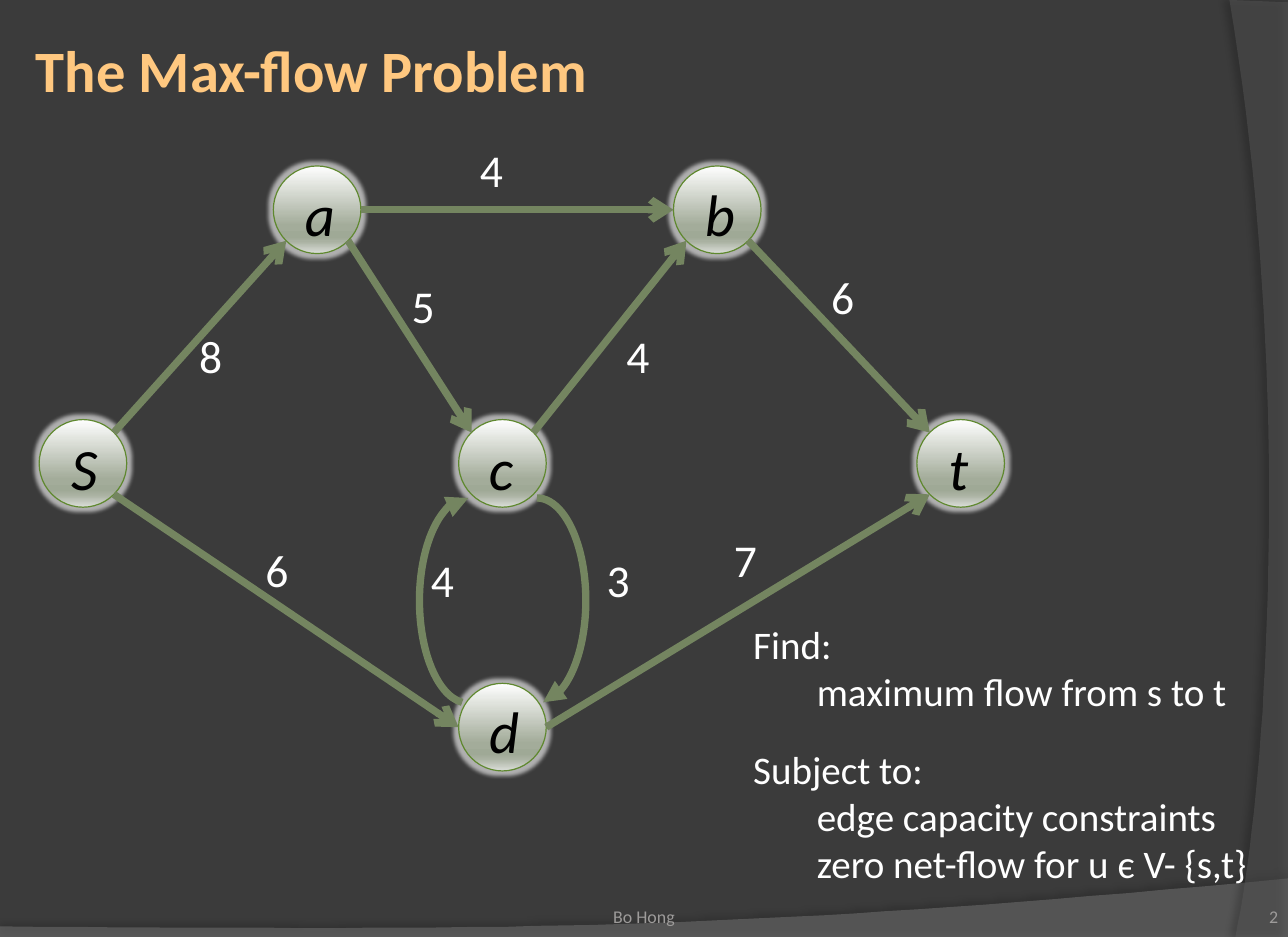
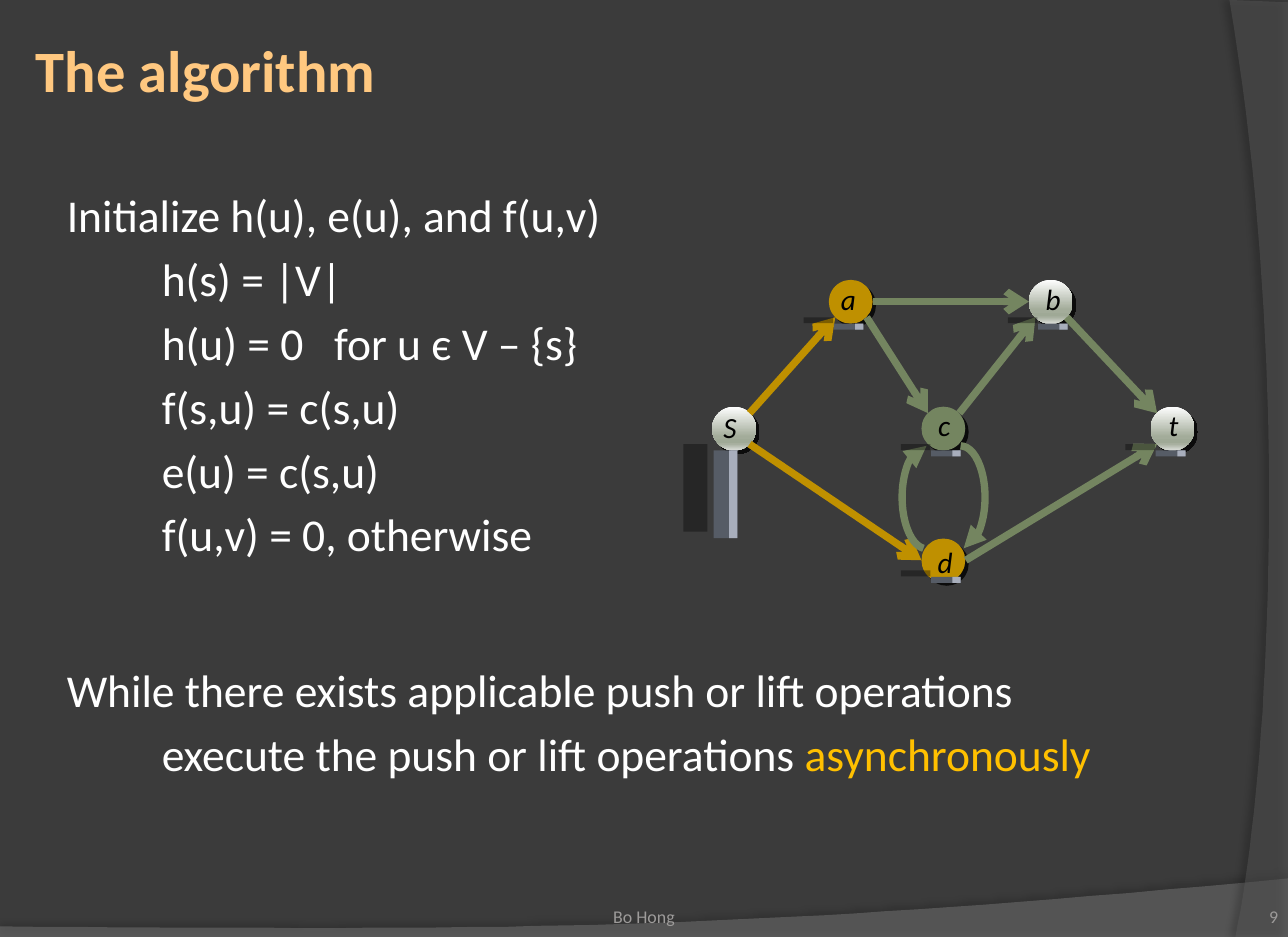
from math import sqrt
from pptx import Presentation
from pptx.dml.color import RGBColor
from pptx.enum.shapes import MSO_CONNECTOR, MSO_SHAPE
from pptx.enum.text import MSO_ANCHOR, PP_ALIGN
from pptx.oxml import parse_xml
from pptx.oxml.ns import nsdecls
from pptx.util import Cm, Pt

# Shared look
FONT = "Calibri"
WIDTH, HEIGHT = 27.94, 20.32
BACKGROUND = RGBColor(0x3B, 0x3B, 0x3B)
TITLE = RGBColor(0xFF, 0xC8, 0x80)
FOOTER = RGBColor(0x9D, 0x9B, 0x9A)
WHITE = RGBColor(0xFF, 0xFF, 0xFF)
BLACK = RGBColor(0x00, 0x00, 0x00)
GREEN = RGBColor(0x74, 0x85, 0x60)
NODE_EDGE = RGBColor(0x5F, 0x88, 0x2F)
GOLD = RGBColor(0xBF, 0x90, 0x00)
YELLOW = RGBColor(0xFF, 0xC0, 0x00)
BAR = RGBColor(0x56, 0x5C, 0x66)
BAR_SIDE = RGBColor(0xA8, 0xAE, 0xBC)
BAND_BOTTOM = RGBColor(0x7F, 0x7F, 0x7F)
BAND_SIDE = RGBColor(0x5E, 0x5E, 0x5E)
SILVER = [(0, "FEFEFE"), (68, "A3AC9A"), (81, "9FA996"), (86, "A9B1A1"), (100, "DBDED9")]
AUTHOR = "Bo Hong"

# Bands: curve (start, two controls, end), closing corners, colour, opacity, shadow
BANDS = [
    ([(27.94, 19.05), (15.62, 20.22), (10.92, 20.17), (0, 20.09)],
     [(0, HEIGHT), (WIDTH, HEIGHT)], BAND_BOTTOM, 45, (35, 4, 3.5, 270)),
    ([(26.8, 20.32), (27.53, 16.76), (28.04, 8.13), (26.67, 0)],
     [(WIDTH, 0.05), (WIDTH, HEIGHT)], BAND_SIDE, 40, (45, 4, 4, 180)),
]

# Flow network: node centres, edges with their ports, arcs (left, flipped, arrow end)
RADIUS = 0.95
LABEL_WIDTH, LABEL_HEIGHT = 1.1, 1.55
NODES = {"S": (1.8, 10.05), "t": (20.84, 10.05), "a": (6.88, 4.55),
         "d": (10.9, 15.77), "b": (15.56, 4.55), "c": (10.9, 10.05)}
EDGES = [("S", "ne", "a", "sw"), ("a", "se", "c", "nw"), ("S", "se", "d", "w"),
         ("b", "se", "t", "nw"), ("c", "ne", "b", "sw"), ("d", "e", "t", "sw"),
         ("a", "e", "b", "w")]
ARCS = [(10.59, False, "tailEnd"), (9.1, True, "headEnd")]
ARC_TOP, ARC_WIDTH, ARC_HEIGHT = 10.8, 2.12, 4.45
DIAGONAL = 1 / sqrt(2)
PORTS = {"e": (1, 0), "w": (-1, 0), "ne": (DIAGONAL, -DIAGONAL), "se": (DIAGONAL, DIAGONAL),
         "nw": (-DIAGONAL, -DIAGONAL), "sw": (-DIAGONAL, DIAGONAL)}

# Shift of each node's letter from the node centre, on the large and the small network
LARGE_SHIFTS = {"S": (0.03, 0.07), "t": (-0.05, 0.07), "a": (0.06, 0.07),
                "d": (0.04, 0.07), "b": (0.06, 0.07), "c": (-0.03, 0.07)}
SMALL_SHIFTS = {"S": (-0.08, -0.05), "t": (0.01, -0.08), "a": (-0.06, -0.08),
                "d": (0.04, 0.03), "b": (0.04, -0.08), "c": (0.01, -0.08)}

# Slide contents; a paragraph is (indent, space before, runs)
CAPACITIES = [("8", 4.57, 7.7), ("6", 6.01, 12.35), ("4", 10.66, 3.68),
              ("5", 9.18, 6.63), ("4", 13.84, 7.7), ("6", 18.28, 6.42),
              ("3", 13.41, 12.57), ("7", 16.17, 12.14), ("4", 9.6, 12.57)]
PROBLEM = [
    (0, 0, ["Find:"]),
    (1.38, 0, ["maximum flow from s to t"]),
    (0, 19.2, ["Subject to:"]),
    (1.38, 0, ["edge capacity constraints"]),
    (1.38, 0, ["zero net-flow for u є V- {s,t}"]),
]
INITIALIZE = [
    (0, 0, ["Initialize h(u), e(u), and f(u,v)"]),
    (2.06, 5.6, ["h(s) = |V|"]),
    (2.06, 5.6, ["h(u) = 0", (" ", {"spacing": 12.6}), "for u є V – {s}"]),
    (2.06, 5.6, ["f(s,u) = c(s,u)"]),
    (2.06, 5.6, ["e(u) = c(s,u)"]),
    (2.06, 5.6, ["f(u,v) = 0, otherwise"]),
]
LOOP = [
    (0, 0, ["While there exists applicable push or lift operations"]),
    (2.06, 5.6, ["execute the push or lift operations ",
                 ("asynchronously", {"color": YELLOW})]),
]
# Height bars under the nodes: shift from the node's left, from its bottom, width, height
HEIGHT_BARS = {"S": (0.04, 0, 0.52, 1.9), "d": (0.2, -0.12, 0.64, 0.13),
               "c": (0.2, 0, 0.64, 0.13), "t": (0.11, 0, 0.64, 0.13),
               "b": (0.2, 0, 0.64, 0.13), "a": (0.11, 0, 0.64, 0.13)}
SIDE_WIDTH = 0.18
BAR_SHADOW = (35, 0, 19, 192)
NODE_SHADOW = (80, 0, 3, 45)


def box_cm(*box):
    return [Cm(round(v, 2)) for v in box]


def xml(tag, attributes, inner=""):
    return parse_xml(f"<a:{tag} {nsdecls('a')} {attributes}>{inner}</a:{tag}>")


def add_text(s, text, *box, size=18, color=WHITE, bold=False, italic=False,
             align=PP_ALIGN.LEFT, anchor=MSO_ANCHOR.TOP, wrap=True):
    """Add a text box with one string or a list of paragraphs."""
    tf = s.shapes.add_textbox(*box_cm(*box)).text_frame
    tf.word_wrap, tf.vertical_anchor = wrap, anchor
    tf.margin_left = tf.margin_right = tf.margin_top = tf.margin_bottom = 0
    paragraphs = [(0, 0, [text])] if isinstance(text, str) else text
    for i, (indent, before, runs) in enumerate(paragraphs):
        p = tf.add_paragraph() if i else tf.paragraphs[0]
        p.alignment, p.space_before = align, Pt(before)
        if indent:
            p._p.get_or_add_pPr().set("marL", str(Cm(indent)))
        for run in runs:
            words, extra = (run, {}) if isinstance(run, str) else run
            r = p.add_run()
            r.text = words
            r.font.name, r.font.size = FONT, Pt(size)
            r.font.bold, r.font.italic = bold, italic
            r.font.color.rgb = extra.get("color", color)
            if "spacing" in extra:
                r._r.get_or_add_rPr().set("spc", str(round(extra["spacing"] * 100)))


def set_effect(sp, shadow=None, glow=None):
    """Shadow is (opacity, blur, distance, angle), glow is (opacity, radius)."""
    effects = sp._element.spPr.get_or_add_effectLst()
    if glow:
        opacity, radius = glow
        effects.append(xml("glow", f'rad="{Pt(radius)}"',
                           f'<a:srgbClr val="{WHITE}"><a:alpha val="{opacity * 1000}"/></a:srgbClr>'))
    if shadow:
        opacity, blur, distance, angle = shadow
        effects.append(xml(
            "outerShdw",
            f'blurRad="{Pt(blur)}" dist="{Pt(distance)}" dir="{angle * 60000}" rotWithShape="0"',
            f'<a:srgbClr val="{BLACK}"><a:alpha val="{opacity * 1000}"/></a:srgbClr>'))


def set_fill(sp, fill, opacity=100):
    """Fill with one colour, or with a list of gradient stops from top to bottom."""
    if isinstance(fill, list):
        stops = "".join(f'<a:gs pos="{pos * 1000}"><a:srgbClr val="{c}"/></a:gs>' for pos, c in fill)
        sp._element.spPr.insert(2, xml("gradFill", 'rotWithShape="1"',
                                       f'<a:gsLst>{stops}</a:gsLst><a:lin ang="5400000" scaled="0"/>'))
        return
    sp.fill.solid()
    sp.fill.fore_color.rgb = fill
    if opacity < 100:
        color = sp._element.spPr.find(".//{*}solidFill/{*}srgbClr")
        color.append(xml("alpha", f'val="{opacity * 1000}"'))


def add_bar(s, box, fill, shadow=None):
    sp = s.shapes.add_shape(MSO_SHAPE.RECTANGLE, *box_cm(*box))
    set_fill(sp, fill)
    sp.line.fill.background()
    set_effect(sp, shadow)


def draw_arrow(sp, color, end, head):
    sp.line.color.rgb, sp.line.width = color, Pt(4.5)
    sp._element.spPr.get_or_add_ln().append(xml(end, f'type="{head}"'))
    set_effect(sp)


def add_band(s, curve, corners, color, opacity, shadow):
    points = []
    for i in range(41):
        t = i / 40
        weights = ((1 - t) ** 3, 3 * t * (1 - t) ** 2, 3 * t * t * (1 - t), t ** 3)
        points.append(box_cm(*(sum(w * c[k] for w, c in zip(weights, curve)) for k in (0, 1))))
    points += [box_cm(*corner) for corner in corners]
    builder = s.shapes.build_freeform(*points[0])
    builder.add_line_segments(points[1:], close=True)
    sp = builder.convert_to_shape()
    set_fill(sp, color, opacity)
    sp.line.fill.background()
    set_effect(sp, shadow)


def add_slide(prs, title, number):
    s = prs.slides.add_slide(prs.slide_layouts[6])
    for band in BANDS:
        add_band(s, *band)
    add_text(s, title, 0.78, 0.64, 26.6, 1.73, size=36, color=TITLE, bold=True,
             anchor=MSO_ANCHOR.MIDDLE)
    for text, left, width, align in ((number, 25.4, 2.33, PP_ALIGN.RIGHT),
                                     (AUTHOR, 9.55, 8.84, PP_ALIGN.CENTER)):
        add_text(s, text, left, 19, width, 1.1, size=11, color=FOOTER,
                 align=align, anchor=MSO_ANCHOR.BOTTOM)
    return s


def add_network(s, shifts, scale=1, dx=0, dy=0, size=36, fills=None, active=(), outlined=True):
    """Draw the flow network; active edges are gold."""
    radius = RADIUS * scale
    label_width, label_height = LABEL_WIDTH * scale, LABEL_HEIGHT * scale

    def place(x, y):
        return x * scale + dx, y * scale + dy

    def port(name, side):
        x, y = place(*NODES[name])
        return x + radius * PORTS[side][0], y + radius * PORTS[side][1]

    # Nodes
    for name, centre in NODES.items():
        x, y = place(*centre)
        sp = s.shapes.add_shape(MSO_SHAPE.OVAL, *box_cm(x - radius, y - radius, 2 * radius, 2 * radius))
        set_fill(sp, (fills or {}).get(name, SILVER))
        if outlined:
            sp.line.color.rgb, sp.line.width = NODE_EDGE, Pt(0.75)
            set_effect(sp, glow=(60, 5))
        else:
            sp.line.fill.background()
            set_effect(sp, NODE_SHADOW)
        right, down = shifts[name]
        add_text(s, name, x + right - label_width / 2, y + down - label_height / 2,
                 label_width, label_height, size=size, color=BLACK, italic=True,
                 align=PP_ALIGN.CENTER, anchor=MSO_ANCHOR.MIDDLE, wrap=False)
    # Edges
    for start, out, end, into in EDGES:
        cx = s.shapes.add_connector(MSO_CONNECTOR.STRAIGHT,
                                    *box_cm(*port(start, out), *port(end, into)))
        draw_arrow(cx, GOLD if (start, end) in active else GREEN, "tailEnd", "arrow")
    # Arcs between c and d
    for left, flipped, end in ARCS:
        sp = s.shapes.add_shape(MSO_SHAPE.ARC, *box_cm(*place(left, ARC_TOP),
                                                       ARC_WIDTH * scale, ARC_HEIGHT * scale))
        sp.adjustments[0], sp.adjustments[1] = 162, 51.93
        if flipped:
            sp._element.spPr.get_or_add_xfrm().set("flipH", "1")
        sp.fill.background()
        draw_arrow(sp, GREEN, end, "triangle")


def problem_slide(prs):
    s = add_slide(prs, "The Max-flow Problem", "2")
    add_network(s, LARGE_SHIFTS)
    for capacity, x, y in CAPACITIES:
        add_text(s, capacity, x - 0.4, y - 0.62, 0.8, 1.24, size=28,
                 align=PP_ALIGN.CENTER, anchor=MSO_ANCHOR.MIDDLE)
    add_text(s, PROBLEM, 16.34, 13.46, 11.4, 5.9, size=24)


def algorithm_slide(prs):
    s = add_slide(prs, "The algorithm", "9")
    add_text(s, INITIALIZE, 1.45, 4.06, 13, 8.3, size=28)
    add_text(s, LOOP, 1.45, 14.36, 24.5, 2.7, size=28)
    scale, dx, dy = 0.5, 15.02, 4.27
    add_network(s, SMALL_SHIFTS, scale, dx, dy, size=18, outlined=False,
                fills={"a": GOLD, "d": GOLD, "c": GREEN}, active=[("S", "a"), ("S", "d")])
    # Height bars
    for name, (right, down, width, height) in HEIGHT_BARS.items():
        x, y = NODES[name]
        left = (x - RADIUS) * scale + dx + right
        top = (y + RADIUS) * scale + dy + down
        add_bar(s, (left, top, width, height), BAR, BAR_SHADOW)
        add_bar(s, (left + width - SIDE_WIDTH, top, SIDE_WIDTH, height), BAR_SIDE)


def main():
    prs = Presentation()
    prs.slide_width, prs.slide_height = Cm(WIDTH), Cm(HEIGHT)
    background = prs.slide_master.background.fill
    background.solid()
    background.fore_color.rgb = BACKGROUND
    problem_slide(prs)
    algorithm_slide(prs)
    prs.save("out.pptx")


if __name__ == "__main__":
    main()
